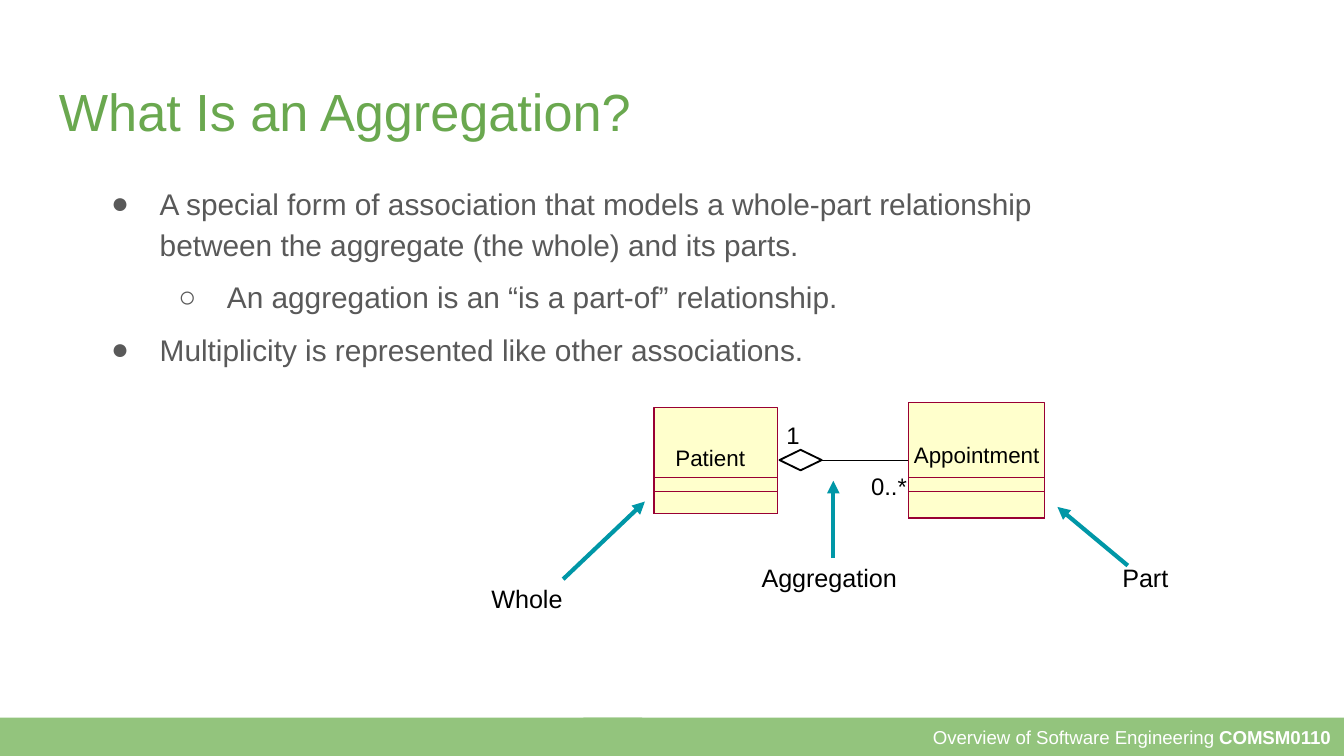
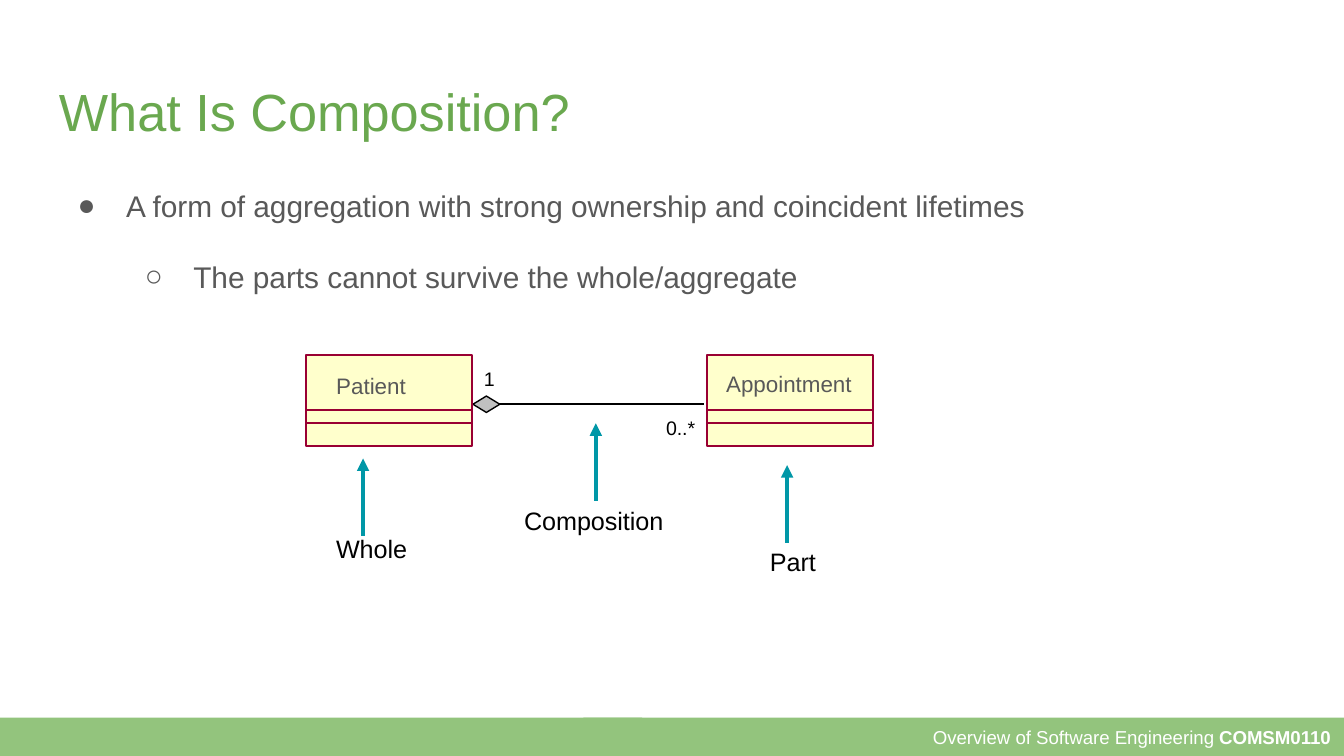
from dataclasses import dataclass

from lxml.etree import SubElement
from pptx import Presentation
from pptx.dml.color import RGBColor
from pptx.enum.shapes import MSO_CONNECTOR, MSO_SHAPE
from pptx.enum.text import MSO_ANCHOR, MSO_AUTO_SIZE, PP_ALIGN
from pptx.oxml.ns import qn
from pptx.util import Pt


@dataclass(frozen=True)
class Theme:
    font: str = "Arial"
    # Colours
    band: str = "93C47D"
    title: str = "6AA84F"
    body: str = "595959"
    ink: str = "000000"
    white: str = "FFFFFF"
    class_fill: str = "FFFFCC"
    class_line: str = "990033"
    pointer: str = "0097A7"
    diamond: str = "C0C0C0"
    # Type sizes
    title_size: float = 28
    body_size: float = 16
    callout_size: float = 13.5
    class_size: float = 12
    open_multiplicity_size: float = 12.8
    filled_multiplicity_size: float = 10.5
    footer_size: float = 10


THEME = Theme()
BULLETS = ("●", "○")


# Basic elements
def add_run(paragraph, text, size, color, bold=None):
    run = paragraph.add_run()
    run.text = text
    run.font.name = THEME.font
    run.font.size = Pt(size)
    run.font.bold = bold
    run.font.color.rgb = RGBColor.from_string(color)


def set_insets(frame, horizontal, vertical):
    frame.margin_left = frame.margin_right = Pt(horizontal)
    frame.margin_top = frame.margin_bottom = Pt(vertical)


def add_text_frame(slide, box, insets, wrap=True):
    frame = slide.shapes.add_textbox(*map(Pt, box)).text_frame
    frame.word_wrap = wrap
    set_insets(frame, *insets)
    return frame


def add_label(slide, text, box, size, color=THEME.ink, insets=(0, 0), wrap=True):
    frame = add_text_frame(slide, box, insets, wrap)
    frame.auto_size = MSO_AUTO_SIZE.SHAPE_TO_FIT_TEXT
    add_run(frame.paragraphs[0], text, size, color)


def style_shape(shape, fill=None, line=None, width=1):
    shape.shadow.inherit = False
    if fill:
        shape.fill.solid()
        shape.fill.fore_color.rgb = RGBColor.from_string(fill)
    else:
        shape.fill.background()
    if line:
        shape.line.color.rgb = RGBColor.from_string(line)
        shape.line.width = Pt(width)
    else:
        shape.line.fill.background()


def add_box(shapes, box, fill=None, line=None, width=1, kind=MSO_SHAPE.RECTANGLE):
    shape = shapes.add_shape(kind, *map(Pt, box))
    style_shape(shape, fill, line, width)
    return shape


def add_line(shapes, start, end, color=THEME.ink, width=1, arrow=False):
    connector = shapes.add_connector(
        MSO_CONNECTOR.STRAIGHT, *map(Pt, (*start, *end)))
    connector.line.color.rgb = RGBColor.from_string(color)
    connector.line.width = Pt(width)
    if arrow:
        SubElement(connector.line._get_or_add_ln(), qn("a:tailEnd"), type="triangle")
    SubElement(connector._element.spPr, qn("a:effectLst"))


# Parts of the slide frame
def add_title(slide, text):
    frame = add_text_frame(slide, (24.5, 35.3, 671, 45.4), (7.2, 7.2))
    add_run(frame.paragraphs[0], text, THEME.title_size, THEME.title)


def add_footer(slide):
    top, height = 384.5, 20.5
    footer = add_box(slide.shapes, (312.5, top, 407.5, height), THEME.band)
    add_box(slide.shapes, (0, top, 344, height), THEME.band)
    frame = footer.text_frame
    frame.word_wrap = True
    frame.vertical_anchor = MSO_ANCHOR.MIDDLE
    set_insets(frame, 7.2, 7.2)
    paragraph = frame.paragraphs[0]
    paragraph.alignment = PP_ALIGN.RIGHT
    add_run(paragraph, "Overview of Software Engineering ", THEME.footer_size, THEME.white)
    add_run(paragraph, "COMSM0110", THEME.footer_size, THEME.white, True)


def add_framed_slide(presentation, title):
    slide = presentation.slides.add_slide(presentation.slide_layouts[6])
    add_footer(slide)
    add_title(slide, title)
    return slide


def add_bullets(slide, box, items):
    """Each item is (level, text, space before, space after)."""
    frame = add_text_frame(slide, box, (7.2, 7.2))
    for index, (level, text, before, after) in enumerate(items):
        paragraph = frame.add_paragraph() if index else frame.paragraphs[0]
        paragraph.level = level
        paragraph.line_spacing = 1.15
        paragraph.space_before = Pt(before)
        paragraph.space_after = Pt(after)
        properties = paragraph._p.get_or_add_pPr()
        properties.set("marL", str(Pt(36 * (level + 1))))
        properties.set("indent", str(Pt(-26)))
        bullet_color = SubElement(properties, qn("a:buClr"))
        SubElement(bullet_color, qn("a:srgbClr"), val=THEME.body)
        SubElement(properties, qn("a:buFont"), typeface=THEME.font)
        SubElement(properties, qn("a:buChar"), char=BULLETS[level])
        add_run(paragraph, text, THEME.body_size, THEME.body)


# Parts of the class diagrams
def add_nested_class(slide, box, compartment_tops):
    """Class box whose compartments are outlines down to its bottom edge."""
    left, top, width, height = box
    add_box(slide.shapes, box, THEME.class_fill, THEME.class_line, 0)
    for compartment_top in compartment_tops:
        compartment = (left, compartment_top, width, top + height - compartment_top)
        add_box(slide.shapes, compartment, None, THEME.class_line, 0)


def add_ruled_class(slide, left):
    """Class box with ruled compartments, as one group."""
    top, width, height = 190.2, 88.7, 48.8
    shapes = slide.shapes.add_group_shape().shapes
    add_box(shapes, (left, top, width, height), THEME.class_fill, THEME.class_line)
    for y in (226.8, 219.5):
        add_line(shapes, (left + 0.5, y), (left + width, y), THEME.class_line)


def add_callout(slide, text, box, start, end):
    add_label(slide, text, (*box, 23), THEME.callout_size, insets=(6.5, 3.2))
    add_line(slide.shapes, start, end, THEME.pointer, 2.25, arrow=True)


def add_open_diamond(slide, left, top, width, height):
    middle_x, middle_y = left + width / 2, top + height / 2
    builder = slide.shapes.build_freeform(Pt(left), Pt(middle_y))
    corners = ((middle_x, top + height), (left + width, middle_y), (middle_x, top))
    builder.add_line_segments([(Pt(x), Pt(y)) for x, y in corners], close=True)
    style_shape(builder.convert_to_shape(), None, THEME.ink)


# Slides
def build_aggregation(presentation):
    slide = add_framed_slide(presentation, "What Is an Aggregation?")
    add_bullets(slide, (42.5, 89.3, 579.6, 200), [
        (0, "A special form of association that models a whole-part relationship "
            "between the aggregate (the whole) and its parts.", 0, 0),
        (1, "An aggregation is an “is a part-of” relationship.", 6, 6),
        (0, "Multiplicity is represented like other associations.", 0, 0),
    ])

    # Association and classes
    add_open_diamond(slide, 417.6, 241, 22.6, 11)
    add_line(slide.shapes, (440, 246.7), (488, 246.7))
    compartment_tops = (255.8, 263.3)
    add_nested_class(slide, (486.7, 215.7, 73, 61.8), compartment_tops)
    add_label(slide, "Appointment", (489.6, 236.3, 76.3, 14.4), THEME.class_size)
    add_nested_class(slide, (350.3, 218.2, 66.4, 57), compartment_tops)
    add_label(slide, "Patient", (361.8, 237.8, 37.4, 14.4), THEME.class_size, wrap=False)
    size = THEME.open_multiplicity_size
    add_label(slide, "0..*", (466.6, 252.6, 23, 15), size)
    add_label(slide, "1", (421.3, 225.2, 7.2, 15), size, wrap=False)

    # Callouts
    for callout in (
        ("Aggregation", (401.5, 298, 119), (446.4, 299), (446.4, 257.6)),
        ("Whole", (256.8, 309.5, 119), (301.7, 310.3), (345.5, 268.7)),
        ("Part", (594.8, 298, 52), (604.2, 303), (566.5, 271.6)),
    ):
        add_callout(slide, *callout)


def build_composition(presentation):
    slide = add_framed_slide(presentation, "What Is Composition?")
    add_bullets(slide, (24.5, 90.5, 638, 95.8), [
        (0, "A form of aggregation with strong ownership and coincident lifetimes", 0, 0),
        (1, "The parts cannot survive the whole/aggregate", 16, 0),
    ])

    # Association and classes, with label boxes wider than their text
    insets = (5.8, 2.9)
    size = THEME.filled_multiplicity_size
    add_line(slide.shapes, (257.8, 216.5), (377.3, 216.5))
    add_label(slide, "1", (253.5, 193.9, 19, 18), size, insets=insets, wrap=False)
    add_label(slide, "0..*", (351, 219.9, 30, 18), size, insets=insets, wrap=False)
    add_box(slide.shapes, (253.4, 212.2, 14.4, 8.8), THEME.diamond, THEME.ink, 0.75,
            MSO_SHAPE.DIAMOND)
    for name, class_left, label_box in (
        ("Appointment", 378.8, (383.2, 195.4, 84, 20.2)),
        ("Patient", 164, (174.3, 196.4, 70.6, 20.2)),
    ):
        add_ruled_class(slide, class_left)
        add_label(slide, name, label_box, THEME.class_size, THEME.body, insets)

    # Callouts
    for callout in (
        ("Composition", (274.3, 267.3, 119), (319.2, 268.3), (319.2, 226.8)),
        ("Whole", (173.5, 282.6, 94.3), (194.5, 287), (194.5, 245.6)),
        ("Part", (406, 289.6, 88.6), (421.7, 290.8), (421.7, 249.2)),
    ):
        add_callout(slide, *callout)


def main():
    presentation = Presentation()
    presentation.slide_width = Pt(720)
    presentation.slide_height = Pt(405)
    build_aggregation(presentation)
    build_composition(presentation)
    presentation.save("out.pptx")


main()
